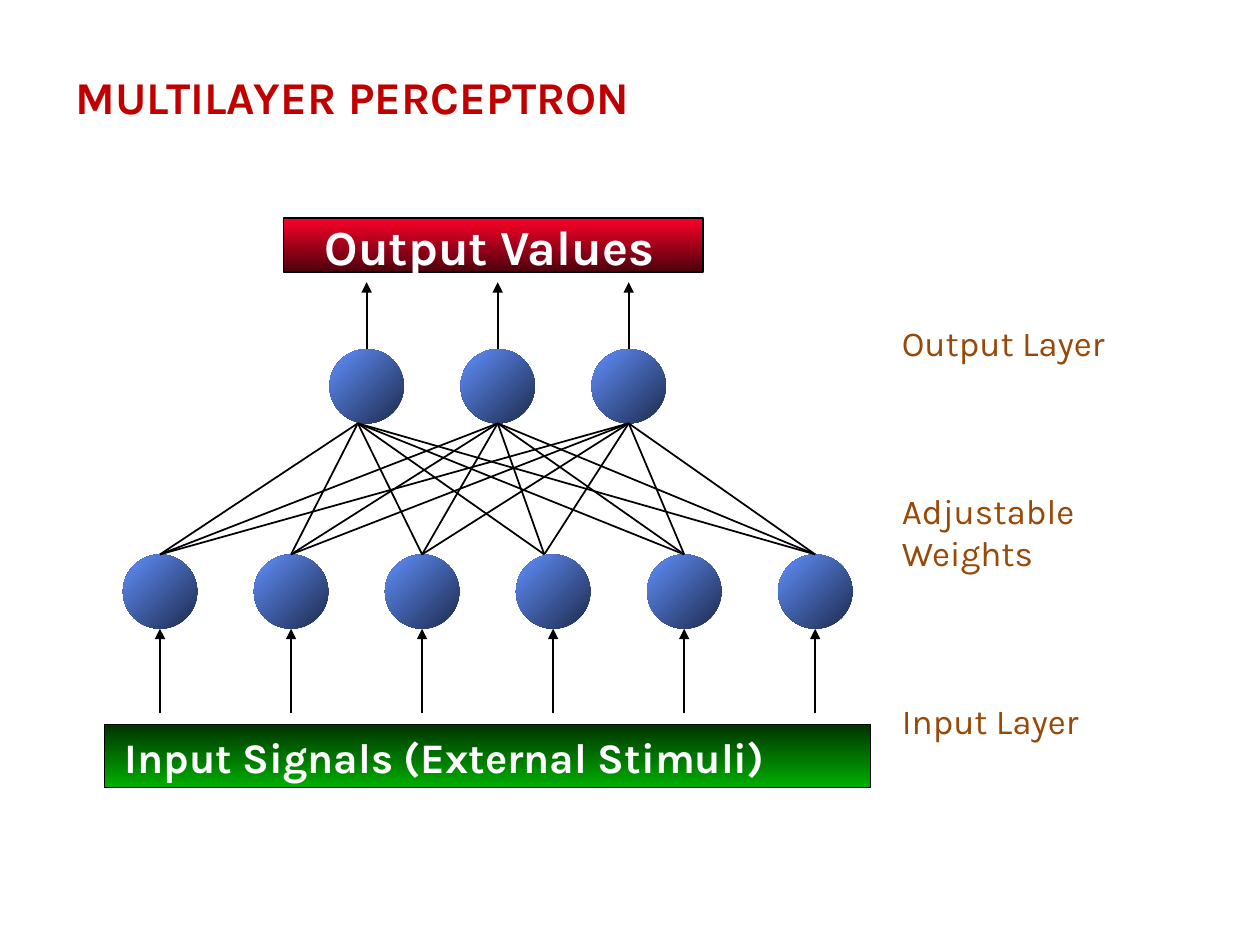
"""Build a slide that shows the layers of a multilayer perceptron."""
import itertools

import pptx
import pptx.dml.color
import pptx.enum.shapes
import pptx.oxml
import pptx.oxml.ns
import pptx.util

Inches = pptx.util.Inches
Pt = pptx.util.Pt
SHAPES = pptx.enum.shapes.MSO_SHAPE
COLOURS = {
    "title": "C00000", "label": "984807", "white": "FFFFFF", "line": "000000",
    "green_dark": "003400", "green": "00AE00",
    "red": "FC0128", "red_dark": "4B000C",
    "blue_dark": "1D2B4B", "blue": "618FFD",
}
STEP = 1.04
NODE = 0.59
OUTPUT_TOP, INPUT_TOP = 2.77, 4.4
OUTPUT_CENTRES = [2.91 + STEP * i for i in range(3)]
INPUT_CENTRES = [1.27 + STEP * i for i in range(6)]
OUTPUT_JOINTS = [2.84] + OUTPUT_CENTRES[1:]
INPUT_JOINTS = INPUT_CENTRES[:3] + [4.32] + INPUT_CENTRES[4:]


def colour(name):
    return pptx.dml.color.RGBColor.from_string(COLOURS[name])


def add_gradient_shape(page, kind, place, stops, angle, outlined):
    shape = page.shapes.add_shape(kind, *map(Inches, place))
    shape.shadow.inherit = False
    shape.fill.gradient()
    shape.fill.gradient_angle = angle
    for stop, name in zip(shape.fill.gradient_stops, stops):
        stop.color.rgb = colour(name)
    if outlined:
        shape.line.color.rgb = colour("line")
        shape.line.width = Pt(1)
    else:
        shape.line.fill.background()


def add_bar(page, place, stops):
    add_gradient_shape(page, SHAPES.RECTANGLE, place, stops, 270, True)


def add_node(page, centre, top):
    place = (centre - NODE / 2, top, NODE, NODE)
    add_gradient_shape(page, SHAPES.OVAL, place, ("blue_dark", "blue"), 135, False)


def add_line(page, start, end, arrow=False):
    line = page.shapes.add_connector(
        pptx.enum.shapes.MSO_CONNECTOR.STRAIGHT, *map(Inches, start + end))
    line.line.color.rgb = colour("line")
    line.line.width = Pt(1)
    if arrow:
        head = pptx.oxml.parse_xml(
            f'<a:tailEnd {pptx.oxml.ns.nsdecls("a")} type="triangle"/>')
        line.line._get_or_add_ln().append(head)
    effects = pptx.oxml.parse_xml(f'<a:effectLst {pptx.oxml.ns.nsdecls("a")}/>')
    line._element.spPr.append(effects)


def add_text(page, place, lines, size, name, bold=False):
    box = page.shapes.add_textbox(*map(Inches, place))
    frame = box.text_frame
    frame.word_wrap = True
    font = {"name": "Karla", "size": Pt(size), "bold": bold}
    for index, (text, gap) in enumerate(lines):
        para = frame.add_paragraph() if index else frame.paragraphs[0]
        if gap:
            para.space_before = Pt(gap)
        span = para.add_run()
        span.text = text
        for key, value in font.items():
            setattr(span.font, key, value)
        span.font.color.rgb = colour(name)


def add_network(page):
    for centre in OUTPUT_CENTRES:
        add_node(page, centre, OUTPUT_TOP)
    for centre in INPUT_CENTRES:
        add_node(page, centre, INPUT_TOP)
    for upper, lower in itertools.product(OUTPUT_JOINTS, INPUT_JOINTS):
        add_line(page, (upper, OUTPUT_TOP + NODE), (lower, INPUT_TOP))
    for centre in OUTPUT_CENTRES:
        add_line(page, (centre, OUTPUT_TOP), (centre, 2.24), arrow=True)
    for centre in INPUT_CENTRES:
        add_line(page, (centre, 5.66), (centre, INPUT_TOP + NODE), arrow=True)


def main():
    deck = pptx.Presentation()
    deck.slide_width, deck.slide_height = Inches(10), Inches(7.5)
    page = deck.slides.add_slide(deck.slide_layouts[6])
    add_text(page, (0.5, 0.5, 9, 0.54), [("MULTILAYER PERCEPTRON", 0)],
             26, "title", True)
    add_bar(page, (0.83, 5.75, 6.08, 0.5), ("green_dark", "green"))
    add_bar(page, (2.25, 1.73, 3.33, 0.43), ("red", "red_dark"))
    add_network(page)
    add_text(page, (2.48, 1.67, 3.33, 0.56), [("Output Values", 0)],
             28, "white", True)
    add_text(page, (0.89, 5.76, 6.11, 0.49),
             [("Input Signals (External Stimuli)", 0)], 24, "white", True)
    labels = [("Output Layer", 0), ("Adjustable", 72), ("Weights", 0),
              ("Input Layer", 72)]
    add_text(page, (7.06, 2.5, 2.03, 3.43), labels, 20, "label")
    deck.save("out.pptx")


if __name__ == "__main__":
    main()
